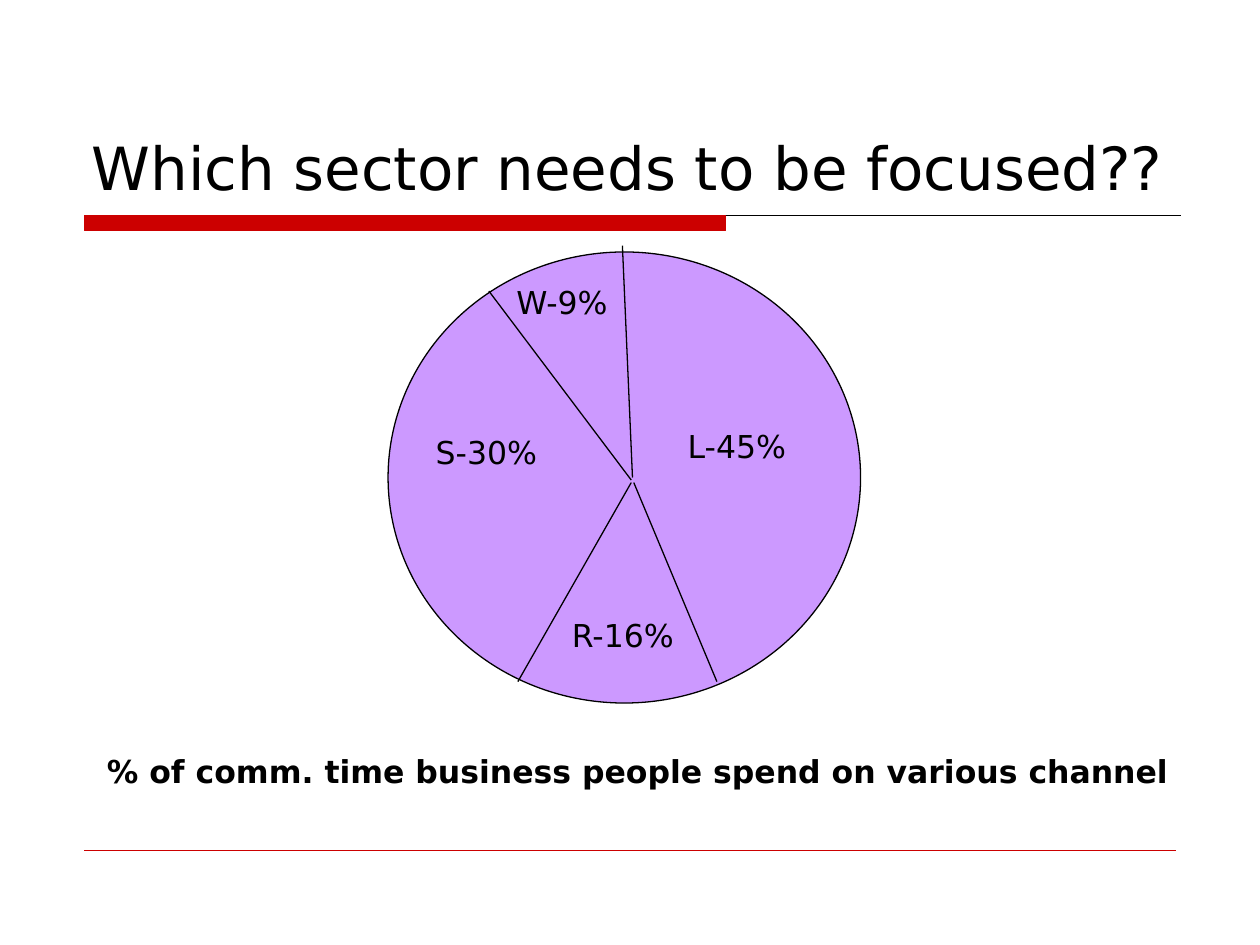
import pptx
import pptx.dml.color
import pptx.enum.shapes
import pptx.enum.text
import pptx.oxml.ns
import pptx.util
from lxml import etree

Inches = pptx.util.Inches
RGBColor = pptx.dml.color.RGBColor
SHAPE = pptx.enum.shapes.MSO_SHAPE
ANCHOR = pptx.enum.text.MSO_ANCHOR

RED = RGBColor(0xCC, 0x00, 0x00)
BLACK = RGBColor(0x00, 0x00, 0x00)
LILAC = RGBColor(0xCC, 0x99, 0xFF)
FONT = "DejaVu Sans"

SPOKES = [
    (1.94, 1.79, 1.86, -0.05),
    (1.03, 3.41, 1.93, 1.83),
    (2.61, 3.41, 1.95, 1.83),
    (1.93, 1.81, 0.8, 0.31),
]
LABELS = [
    ("L-45%", 2.28, 1.34),
    ("R-16%", 1.36, 2.84),
    ("S-30%", 0.28, 1.39),
    ("W-9%", 0.92, 0.2),
]


def add_rule(shapes, x1, y1, x2, y2, color):
    """Draw a thin straight line without a shadow."""
    ends = [Inches(v) for v in (x1, y1, x2, y2)]
    rule = shapes.add_connector(pptx.enum.shapes.MSO_CONNECTOR.STRAIGHT, *ends)
    rule.line.color.rgb = color
    rule.line.width = pptx.util.Pt(0.75)
    etree.SubElement(rule._element.spPr, pptx.oxml.ns.qn("a:effectLst"))


def add_solid(shapes, kind, box, fill, line):
    """Draw a filled shape with a thin outline."""
    solid = shapes.add_shape(kind, *[Inches(v) for v in box])
    solid.shadow.inherit = False
    solid.fill.solid()
    solid.fill.fore_color.rgb = fill
    solid.line.color.rgb = line
    solid.line.width = pptx.util.Pt(0.75)


def add_text(shapes, box, text, size=18, bold=False, anchor=ANCHOR.TOP):
    """Place one line of text in a wrapping box."""
    frame = shapes.add_textbox(*[Inches(v) for v in box]).text_frame
    frame.word_wrap = True
    frame.vertical_anchor = anchor
    run = frame.paragraphs[0].add_run()
    run.text = text
    run.font.name = FONT
    run.font.size = pptx.util.Pt(size)
    run.font.bold = bold
    run.font.color.rgb = BLACK


def add_header(shapes, box):
    """Place the title above its red bar and thin rule."""
    left, top, width, height = box
    bar = top + 1.38
    start = left + 0.04
    add_rule(shapes, start, bar, left + width - 0.01, bar, BLACK)
    add_solid(shapes, SHAPE.RECTANGLE, (start, bar, 5.09, 0.12), RED, RED)
    add_text(shapes, box, "Which sector needs to be focused??", 34,
             anchor=ANCHOR.BOTTOM)


def add_pie(shapes, box):
    """Draw the circle with its dividing lines and sector labels."""
    left, top, width, height = box
    add_solid(shapes, SHAPE.OVAL, box, LILAC, BLACK)
    parts = shapes.add_group_shape().shapes
    for x1, y1, x2, y2 in SPOKES:
        add_rule(parts, left + x1, top + y1, left + x2, top + y2, BLACK)
    for text, x, y in LABELS:
        add_text(parts, (left + x, top + y, 1.08, 0.4), text)


def add_footer(shapes, box):
    """Place the caption and the closing red rule."""
    left, top, width, height = box
    add_text(shapes, (left + 0.08, top, 9, 0.4),
             "% of comm. time business people spend on various channel",
             bold=True)
    add_rule(shapes, left, top + height, left + width, top + height, RED)


def main():
    """Build and save the slide."""
    deck = pptx.Presentation()
    deck.slide_width = Inches(10)
    deck.slide_height = Inches(7.5)
    shapes = deck.slides.add_slide(deck.slide_layouts[6]).shapes
    add_header(shapes, (0.63, 0.33, 8.75, 1.33))
    add_pie(shapes, (3.08, 2, 3.75, 3.58))
    add_footer(shapes, (0.67, 5.92, 8.66, 0.83))
    deck.save("out.pptx")


if __name__ == "__main__":
    main()
